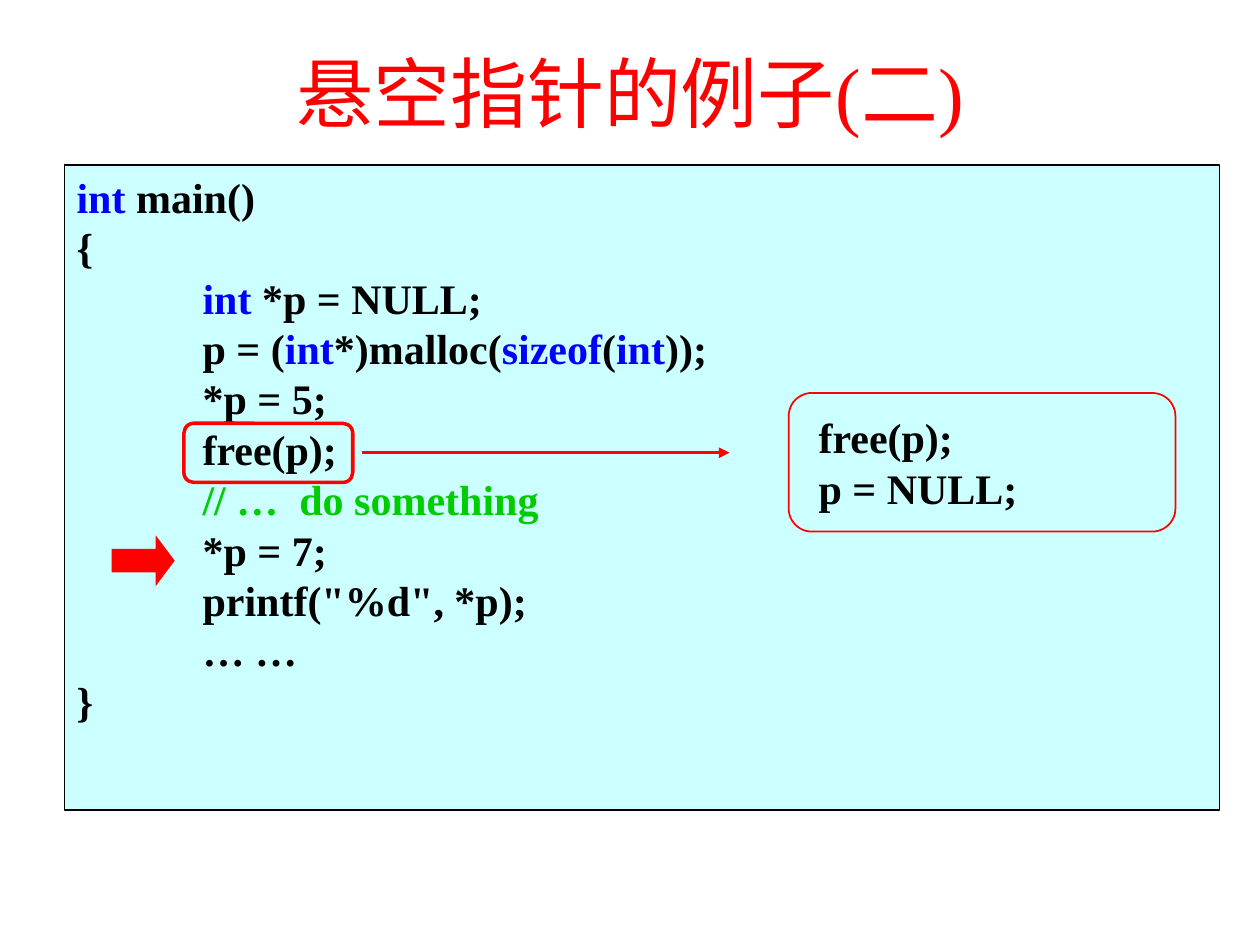
from pptx import Presentation
from pptx.dml.color import RGBColor
from pptx.enum.shapes import MSO_CONNECTOR, MSO_SHAPE
from pptx.enum.text import MSO_ANCHOR, PP_ALIGN
from pptx.oxml.ns import qn
from pptx.util import Pt
from lxml.etree import SubElement

RED = RGBColor(0xFF, 0x00, 0x00)
BLUE = RGBColor(0x00, 0x00, 0xFF)
GREEN = RGBColor(0x00, 0xCC, 0x00)
BLACK = RGBColor(0x00, 0x00, 0x00)
PALE_CYAN = RGBColor(0xCC, 0xFF, 0xFF)


def add_box(kind, left, top, width, height, fill, line_color, line_width):
    box = slide.shapes.add_shape(kind, Pt(left), Pt(top), Pt(width), Pt(height))
    box.shadow.inherit = False
    if fill is None:
        box.fill.background()
    else:
        box.fill.solid()
        box.fill.fore_color.rgb = fill
    box.line.color.rgb = line_color
    box.line.width = Pt(line_width)
    return box


def write_code(frame, lines, frame_format):
    for name, value in frame_format.items():
        setattr(frame, name, value)
    for number, (indent, pieces) in enumerate(lines):
        paragraph = frame.add_paragraph() if number else frame.paragraphs[0]
        paragraph.alignment = PP_ALIGN.LEFT
        paragraph._p.get_or_add_pPr().set("marL", str(Pt(indent)))
        for text, color in pieces:
            run = paragraph.add_run()
            run.text = text
            for name, value in code_format.items():
                setattr(run.font, name, value)
            run.font.color.rgb = color


code_format = {"name": "Times New Roman", "size": Pt(24), "bold": True}

presentation = Presentation()
presentation.slide_width = Pt(720)
presentation.slide_height = Pt(540)
slide = presentation.slides.add_slide(presentation.slide_layouts[6])

title = slide.shapes.add_textbox(Pt(36), Pt(21.6), Pt(648), Pt(61.2)).text_frame
title.word_wrap = True
title.vertical_anchor = MSO_ANCHOR.MIDDLE
heading = title.paragraphs[0]
heading.alignment = PP_ALIGN.CENTER
heading_run = heading.add_run()
heading_run.text = "悬空指针的例子(二)"
for name, value in {"name": "Times New Roman", "size": Pt(44)}.items():
    setattr(heading_run.font, name, value)
heading_run.font.color.rgb = RED

program = add_box(MSO_SHAPE.RECTANGLE, 36.7, 94.3, 660.2, 368.6, PALE_CYAN, BLACK, 0.75)
write_code(program.text_frame, [
    (0, [("int", BLUE), (" main()", BLACK)]),
    (0, [("{", BLACK)]),
    (72, [("int", BLUE), (" *p = NULL;", BLACK)]),
    (72, [("p = (", BLACK), ("int", BLUE), ("*)malloc(", BLACK), ("sizeof", BLUE),
          ("(", BLACK), ("int", BLUE), ("));", BLACK)]),
    (72, [("*p = 5;", BLACK)]),
    (72, [("free(p);", BLACK)]),
    (72, [("// …  do something", GREEN)]),
    (72, [("*p = 7;", BLACK)]),
    (72, [('printf("%d", *p);', BLACK)]),
    (72, [("… …", BLACK)]),
    (0, [("}", BLACK)]),
], {"word_wrap": True, "vertical_anchor": MSO_ANCHOR.TOP})

dangling_use = add_box(MSO_SHAPE.RIGHT_ARROW, 64.8, 308.9, 33.8, 23, RED, RED, 2)
dangling_use.adjustments[1] = 0.374
SubElement(dangling_use.line._get_or_add_ln(), qn("a:miter"), lim="800000")

add_box(MSO_SHAPE.ROUNDED_RECTANGLE, 105.1, 241.9, 96.5, 33.8, None, RED, 2)

fix_link = slide.shapes.add_connector(
    MSO_CONNECTOR.STRAIGHT, Pt(206.6), Pt(258.7), Pt(416.9), Pt(258.7))
fix_link.line.color.rgb = RED
fix_link.line.width = Pt(2)
SubElement(fix_link.line._get_or_add_ln(), qn("a:tailEnd"), type="triangle")
SubElement(fix_link._element.spPr, qn("a:effectLst"))

fix = add_box(MSO_SHAPE.ROUNDED_RECTANGLE, 450.7, 224.6, 221, 79.2, None, RED, 1)
write_code(fix.text_frame, [
    (0, [("free(p);", BLACK)]),
    (0, [("p = NULL;", BLACK)]),
], {"word_wrap": True, "vertical_anchor": MSO_ANCHOR.MIDDLE, "margin_left": Pt(13.2)})

presentation.save("out.pptx")
